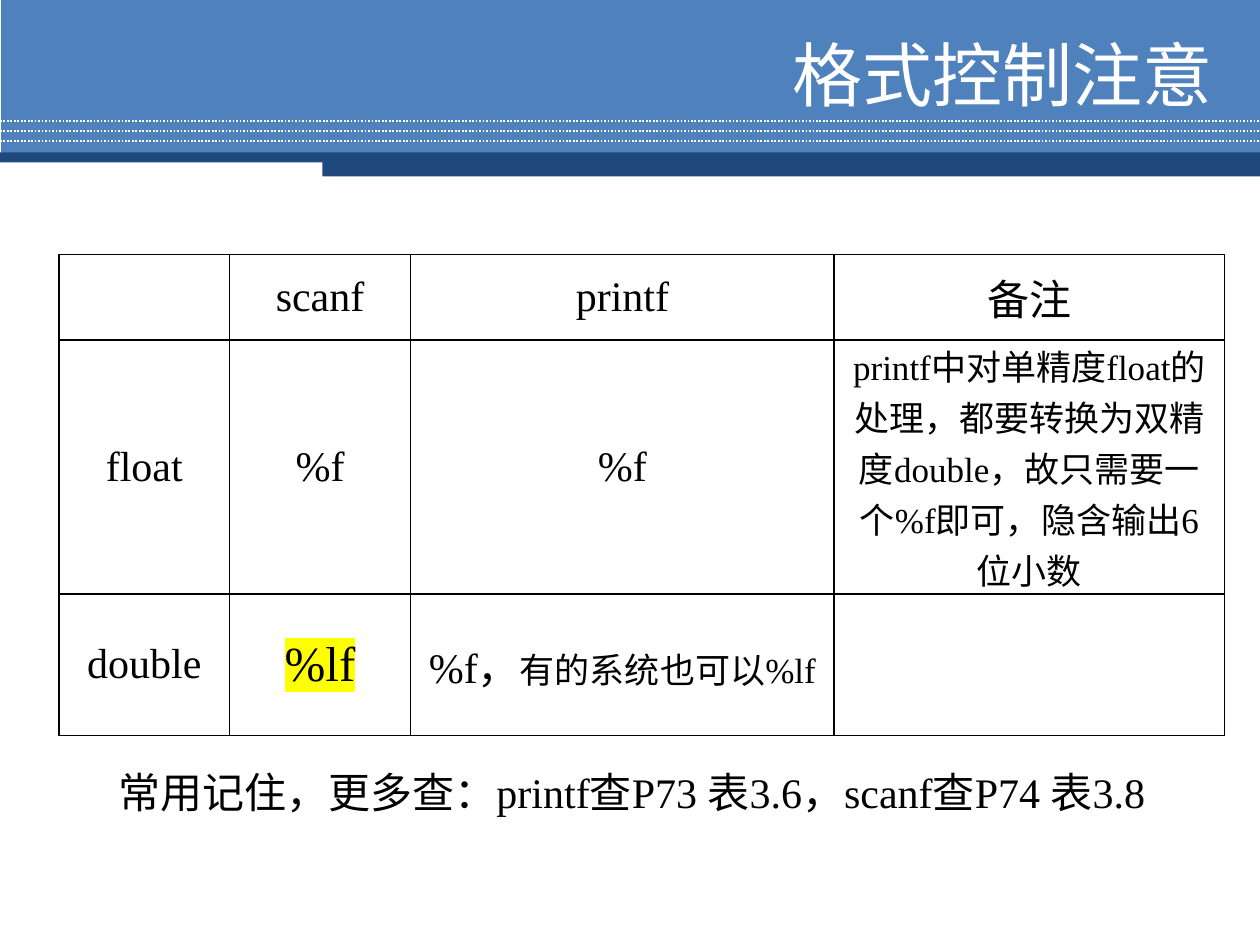
from lxml import etree
from pptx import Presentation
from pptx.dml.color import RGBColor
from pptx.enum.dml import MSO_LINE
from pptx.enum.shapes import MSO_CONNECTOR, MSO_SHAPE
from pptx.enum.text import MSO_ANCHOR, MSO_AUTO_SIZE, PP_ALIGN
from pptx.oxml import parse_xml
from pptx.oxml.ns import qn
from pptx.util import Inches, Pt

RECTANGLE = MSO_SHAPE.RECTANGLE
STRAIGHT = MSO_CONNECTOR.STRAIGHT
DOTTED = MSO_LINE.ROUND_DOT
MIDDLE = MSO_ANCHOR.MIDDLE
CENTER, RIGHT = PP_ALIGN.CENTER, PP_ALIGN.RIGHT

BLUE = RGBColor(0x4F, 0x81, 0xBD)
NAVY = RGBColor(0x1F, 0x49, 0x7D)
WHITE = RGBColor(0xFF, 0xFF, 0xFF)
BLACK = RGBColor(0, 0, 0)
BORDER = "080000"
YELLOW = "FFFF00"
SERIF, SANS = "Times New Roman", "Arial"
DRAWING_NS = "http://schemas.openxmlformats.org/drawingml/2006/main"

# Content: each cell is a list of (text, size) runs
HEADING = "格式控制注意"
NOTE = "常用记住，更多查：printf查P73 表3.6，scanf查P74 表3.8"
FLOAT_REMARK = ("printf中对单精度float的处理，都要转换为双精度double，"
                "故只需要一个%f即可，隐含输出6位小数")
FORMATS = [
    [[], [("scanf", 24)], [("printf", 24)], [("备注", 24)]],
    [[("float", 24)], [("%f", 24)], [("%f", 24)], [(FLOAT_REMARK, 20)]],
    [[("double", 24)], [("%lf", 28)],
     [("%f，", 24), ("有的系统也可以%lf", 20)], []],
]
HIGHLIGHTED = "%lf"
COLUMN_WIDTHS = [1.35, 1.44, 3.36, 3.1]
ROW_HEIGHTS = [0.68, 1.87, 1.12]

# Header band: left, top, width, height, colour
BANDS = [
    (0.01, 0, 9.99, 1.23, BLUE),
    (0, 1.21, 10, 0.08, NAVY),
    (2.56, 1.24, 7.44, 0.16, NAVY),
]
DOTTED_TOP, DOTTED_GAP, DOTTED_COUNT = 0.96, 0.08, 3


def style_run(run, size, font, color):
    run.font.size = Pt(size)
    run.font.name = font
    run.font.color.rgb = color


def highlight(run):
    fill = run.font._element.find(qn("a:solidFill"))
    fill.addnext(parse_xml(
        f'<a:highlight xmlns:a="{DRAWING_NS}">'
        f'<a:srgbClr val="{YELLOW}"/></a:highlight>'))


def add_borders(cell):
    properties = cell._tc.get_or_add_tcPr()
    for index, side in enumerate(("lnL", "lnR", "lnT", "lnB")):
        properties.insert(index, parse_xml(
            f'<a:{side} xmlns:a="{DRAWING_NS}" w="12700"><a:solidFill>'
            f'<a:srgbClr val="{BORDER}"/></a:solidFill></a:{side}>'))


def place(shape, left, top, width, height):
    shape.left, shape.top = Inches(left), Inches(top)
    shape.width, shape.height = Inches(width), Inches(height)


def fill_placeholder(shape, text, size, font, color):
    frame = shape.text_frame
    frame.text = text
    frame.word_wrap = True
    frame.auto_size = MSO_AUTO_SIZE.NONE
    paragraph = frame.paragraphs[0]
    style_run(paragraph.runs[0], size, font, color)
    return paragraph


def add_header(slide):
    for left, top, width, height, color in BANDS:
        band = slide.shapes.add_shape(
            RECTANGLE, Inches(left), Inches(top), Inches(width), Inches(height))
        band.shadow.inherit = False
        band.fill.solid()
        band.fill.fore_color.rgb = color
        band.line.fill.background()
    for number in range(DOTTED_COUNT):
        y = Inches(DOTTED_TOP + number * DOTTED_GAP)
        rule = slide.shapes.add_connector(STRAIGHT, 0, y, Inches(10), y)
        rule.line.color.rgb = WHITE
        rule.line.width = Pt(1)
        rule.line.dash_style = DOTTED
        etree.SubElement(rule._element.spPr, qn("a:effectLst"))


def add_format_table(slide):
    table = slide.shapes.add_table(
        len(ROW_HEIGHTS), len(COLUMN_WIDTHS), Inches(0.47), Inches(2.02),
        Inches(sum(COLUMN_WIDTHS)), Inches(sum(ROW_HEIGHTS))).table
    table.first_row = table.horz_banding = False
    for column, width in zip(table.columns, COLUMN_WIDTHS):
        column.width = Inches(width)
    for row, height, contents in zip(table.rows, ROW_HEIGHTS, FORMATS):
        row.height = Inches(height)
        for cell, pieces in zip(row.cells, contents):
            cell.fill.background()
            add_borders(cell)
            cell.vertical_anchor = MIDDLE
            cell.margin_left = cell.margin_right = Inches(0.07)
            cell.margin_top = cell.margin_bottom = 0
            paragraph = cell.text_frame.paragraphs[0]
            paragraph.alignment = CENTER
            for text, size in pieces:
                run = paragraph.add_run()
                run.text = text
                style_run(run, size, SERIF, BLACK)
                if text == HIGHLIGHTED:
                    highlight(run)


def add_texts(slide):
    title, note = slide.shapes.title, slide.placeholders[1]
    place(title, 2.8, 0.29, 6.92, 0.58)
    place(note, 0.84, 6.11, 8.92, 0.88)
    heading = fill_placeholder(title, HEADING, 40, SANS, WHITE)
    heading.alignment = RIGHT
    title.text_frame.vertical_anchor = MIDDLE

    line = fill_placeholder(note, NOTE, 24, SERIF, BLACK)
    line.line_spacing = 0.8
    line.space_before = Pt(5)
    properties = line._p.get_or_add_pPr()
    properties.set("marL", "0")
    properties.set("indent", "0")
    etree.SubElement(properties, qn("a:buNone"))

    # Bring both texts in front of the header band
    for shape in (title, note):
        slide.shapes._spTree.append(shape._element)


def main():
    presentation = Presentation()
    presentation.slide_width, presentation.slide_height = Inches(10), Inches(7.5)
    slide = presentation.slides.add_slide(presentation.slide_layouts[1])
    add_header(slide)
    add_format_table(slide)
    add_texts(slide)
    presentation.save("out.pptx")


if __name__ == "__main__":
    main()
